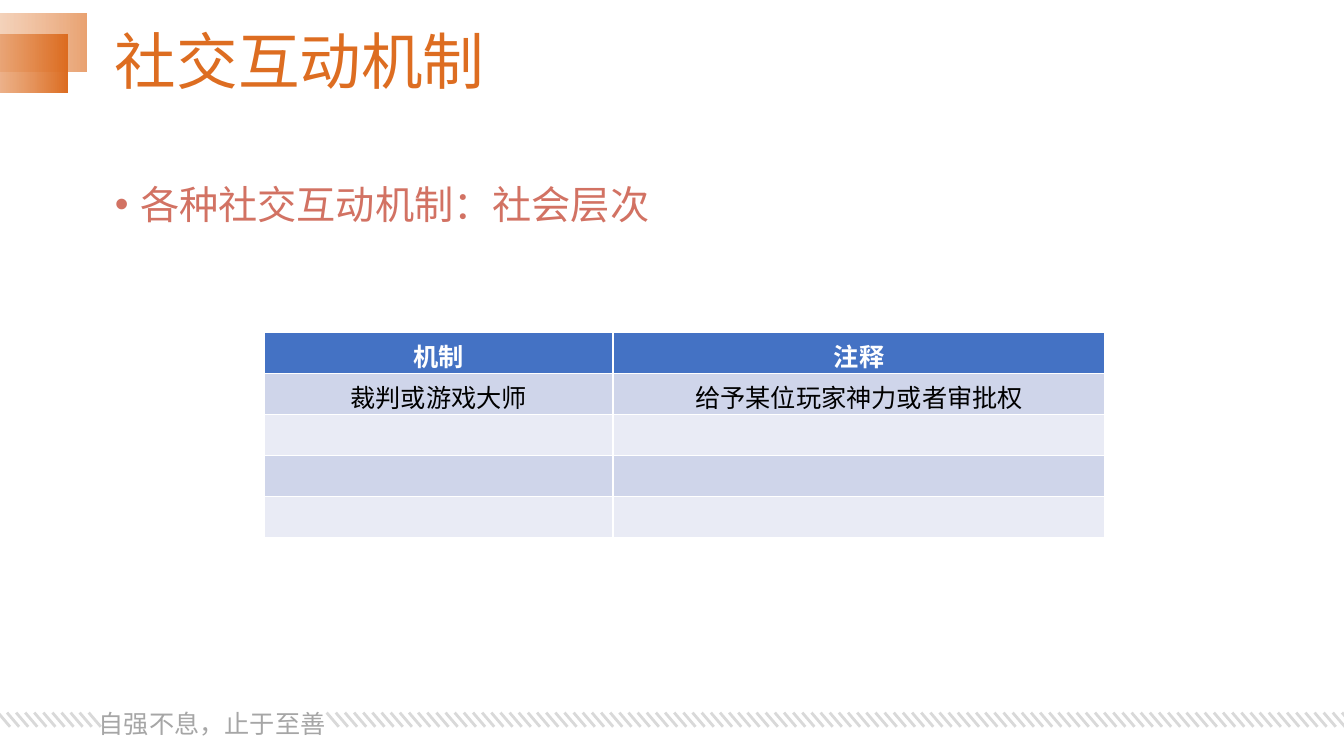
"""Build the slide on social interaction mechanisms."""
from dataclasses import dataclass

from lxml.etree import SubElement
from pptx import Presentation
from pptx.dml.color import RGBColor
from pptx.enum.shapes import MSO_CONNECTOR, MSO_SHAPE
from pptx.enum.text import MSO_ANCHOR, MSO_AUTO_SIZE, PP_ALIGN
from pptx.oxml.ns import qn
from pptx.shapes.base import BaseShape
from pptx.slide import Slide
from pptx.text.text import _Paragraph as Paragraph
from pptx.util import Inches, Pt

COLORS = {
    "white": "FFFFFF", "black": "000000", "orange": "DD6D21",
    "light_orange": "EAA372", "coral": "D27263", "hatch": "D9D9D9",
    "motto": "A6A6A6", "header": "4472C4", "odd_row": "CFD5EA", "even_row": "E9EBF5",
}
FONT = "Noto Sans CJK SC"
MOTTO_FONT = "Noto Sans CJK JP"
ROWS = [
    ("机制", "注释"),
    ("裁判或游戏大师", "给予某位玩家神力或者审批权"),
    ("", ""),
    ("", ""),
    ("", ""),
]


@dataclass
class Banner:
    """A corner bar that fades in from the left."""
    left: float
    top: float
    color: str
    start_opacity: int


@dataclass
class Hatching:
    """A row of equally spaced slanted strokes."""
    left: float
    last: float
    count: int


BANNERS = [Banner(-1.59, 0.13, "light_orange", 25), Banner(-1.78, 0.34, "orange", 0)]
HATCHINGS = [Hatching(-0.02, 0.88, 11), Hatching(3.24, 13.31, 112)]


def rgb(name: str) -> RGBColor:
    """Return the named colour."""
    return RGBColor.from_string(COLORS[name])


def place(shape: BaseShape, left: float, top: float, width: float, height: float) -> None:
    """Move and size a shape in inches."""
    shape.left, shape.top = Inches(left), Inches(top)
    shape.width, shape.height = Inches(width), Inches(height)


def format_text(para: Paragraph, size: int, color: str, face: str = FONT, bold: bool = False) -> None:
    """Format every run of a paragraph, for Latin and East Asian text."""
    for span in para.runs:
        span.font.size, span.font.bold, span.font.name = Pt(size), bold, face
        span.font.color.rgb = rgb(color)
        SubElement(span.font._element, qn("a:ea"), typeface=face)


def add_banner(page: Slide, banner: Banner) -> None:
    """Draw a corner bar with a gradient."""
    bar = page.shapes.add_shape(
        MSO_SHAPE.RECTANGLE, Inches(banner.left), Inches(banner.top), Inches(2.45), Inches(0.58))
    bar.shadow.inherit = False
    bar.line.fill.background()
    bar.fill.gradient()
    bar.fill.gradient_angle = 0
    for stop, color in zip(bar.fill.gradient_stops, ("white", banner.color)):
        stop.color.rgb = rgb(color)
    first_color = next(bar._element.iter(qn("a:srgbClr")))
    SubElement(first_color, qn("a:alpha"), val=str(banner.start_opacity * 1000))


def add_hatching(page: Slide, hatching: Hatching) -> None:
    """Draw the strokes of one footer band."""
    pitch = (hatching.last - hatching.left) / (hatching.count - 1)
    for index in range(hatching.count):
        left = hatching.left + index * pitch
        stroke = page.shapes.add_connector(
            MSO_CONNECTOR.STRAIGHT, Inches(left), Inches(7.07), Inches(left + 0.12), Inches(7.21))
        stroke.line.color.rgb = rgb("hatch")
        stroke.line.width = Pt(2)
        SubElement(stroke._element.spPr, qn("a:effectLst"))


def add_motto(page: Slide) -> None:
    """Write the motto between the footer bands."""
    box = page.shapes.add_textbox(Inches(0.88), Inches(6.83), Inches(2.46), Inches(0.52))
    box.text_frame.word_wrap = False
    box.text_frame.auto_size = MSO_AUTO_SIZE.SHAPE_TO_FIT_TEXT
    para = box.text_frame.paragraphs[0]
    para.text = "自强不息，止于至善"
    para.alignment = PP_ALIGN.JUSTIFY
    para.line_spacing = 1.5
    format_text(para, 18, "motto", MOTTO_FONT)


def fill_placeholders(page: Slide) -> None:
    """Write the title and the bullet."""
    title, body = page.placeholders
    place(title, 1.04, 0.11, 11.5, 1.07)
    place(body, 1.04, 1.79, 11.5, 4.84)
    title.text_frame.text = "社交互动机制"
    title.text_frame.vertical_anchor = MSO_ANCHOR.MIDDLE
    body.text_frame.text = "各种社交互动机制：社会层次"
    for shape, size, color in ((title, 44, "orange"), (body, 28, "coral")):
        shape.text_frame.auto_size = MSO_AUTO_SIZE.NONE
        para = shape.text_frame.paragraphs[0]
        para.alignment = PP_ALIGN.LEFT
        para.line_spacing = 0.9
        para.space_before = Pt(0)
        format_text(para, size, color)
    properties = body.text_frame.paragraphs[0]._p.get_or_add_pPr()
    properties.set("marL", str(Inches(0.25)))
    properties.set("indent", str(Inches(-0.25)))
    SubElement(properties, qn("a:buFont"), typeface="Arial")
    SubElement(properties, qn("a:buChar"), char="•")


def add_mechanism_table(page: Slide) -> None:
    """Draw the table of mechanisms and notes."""
    table = page.shapes.add_table(
        len(ROWS), 2, Inches(2.62), Inches(3.3), Inches(8.35), Inches(2.03)).table
    table.columns[0].width, table.columns[1].width = Inches(3.46), Inches(4.88)
    for row_index, row in enumerate(ROWS):
        header = row_index == 0
        band = "header" if header else "odd_row" if row_index % 2 else "even_row"
        for column_index, text in enumerate(row):
            cell = table.cell(row_index, column_index)
            cell.fill.solid()
            cell.fill.fore_color.rgb = rgb(band)
            para = cell.text_frame.paragraphs[0]
            para.alignment = PP_ALIGN.CENTER
            if text:
                para.text = text
                format_text(para, 18, "white" if header else "black", bold=header)
            else:
                ending = SubElement(para._p, qn("a:endParaRPr"), sz="1800")
                for script in ("a:latin", "a:ea"):
                    SubElement(ending, qn(script), typeface=FONT)


def main() -> None:
    """Build and save the deck."""
    deck = Presentation()
    deck.slide_width, deck.slide_height = Inches(13.33), Inches(7.5)
    page = deck.slides.add_slide(deck.slide_layouts[1])
    for banner in BANNERS:
        add_banner(page, banner)
    for hatching in HATCHINGS:
        add_hatching(page, hatching)
    add_motto(page)
    fill_placeholders(page)
    add_mechanism_table(page)
    deck.save("out.pptx")


if __name__ == "__main__":
    main()
